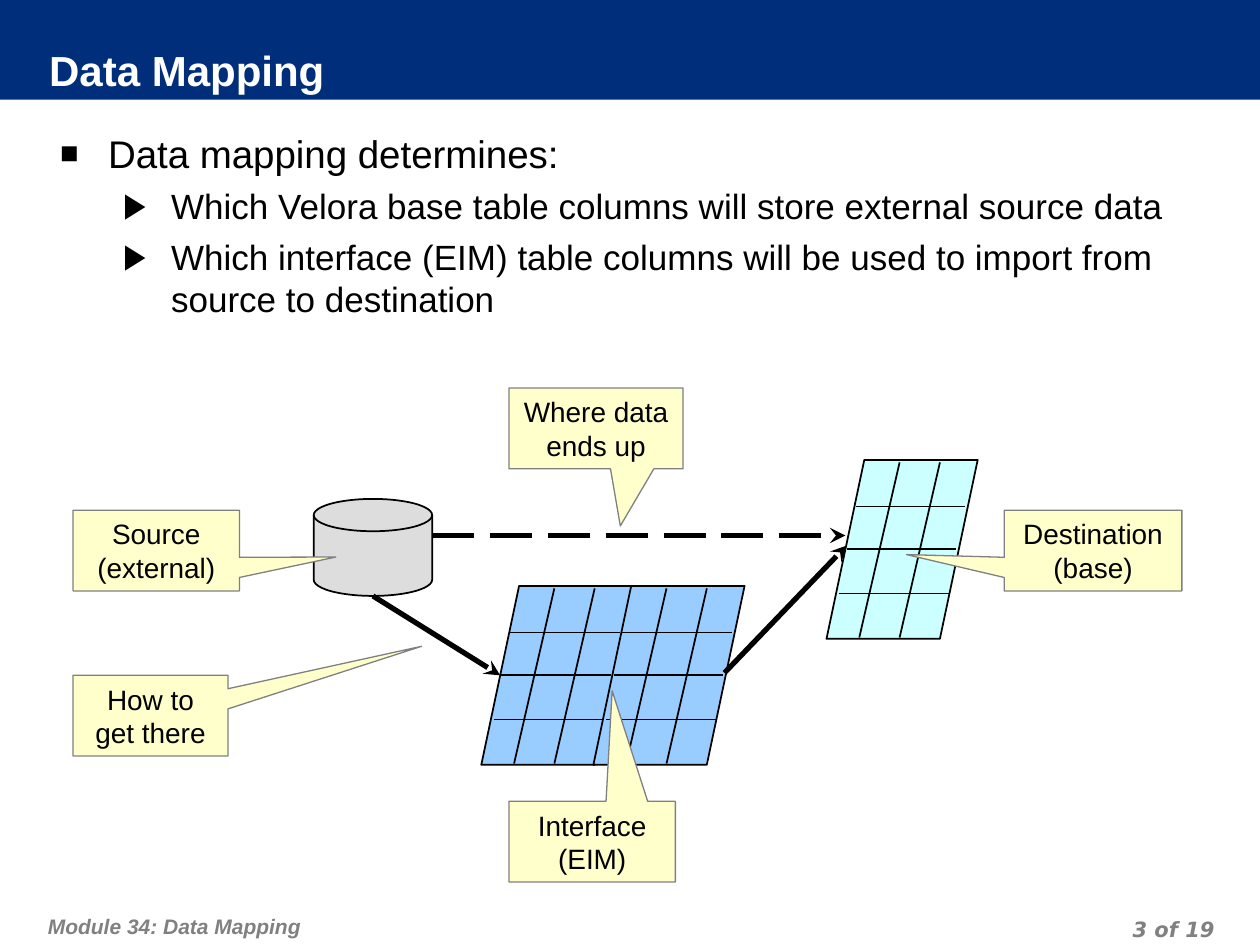
import pptx
import pptx.util
import pptx.dml.color
import pptx.enum.dml
import pptx.enum.shapes
import pptx.enum.text
import pptx.oxml.ns
from lxml import etree

Inches = pptx.util.Inches
Pt = pptx.util.Pt
Shapes = pptx.enum.shapes.MSO_SHAPE
Align = pptx.enum.text.PP_ALIGN
Anchor = pptx.enum.text.MSO_ANCHOR
qn = pptx.oxml.ns.qn


def color(hex_code):
    return pptx.dml.color.RGBColor.from_string(hex_code)


def apply(target, values):
    for name, value in values.items():
        setattr(target, name, value)


class DataMappingSlide:
    NAVY, BLACK, GRAY, NOTE = "002E7A", "000000", "808080", "FFFFCC"

    def __init__(self, slide):
        self.slide = slide

    def shape(self, kind, box, fill, line=None, width=1.0):
        item = self.slide.shapes.add_shape(kind, *map(Inches, box))
        item.shadow.inherit = False
        item.fill.solid()
        item.fill.fore_color.rgb = color(fill)
        if line:
            item.line.color.rgb = color(line)
            item.line.width = Pt(width)
        else:
            item.line.fill.background()
        return item

    def frame(self, item, insets, anchor=Anchor.TOP):
        sides = ("margin_left", "margin_top", "margin_right", "margin_bottom")
        apply(item.text_frame, dict(zip(sides, map(Inches, insets))))
        apply(item.text_frame, {"word_wrap": True, "vertical_anchor": anchor})
        return item.text_frame

    def paragraph(self, frame, text, size, ink=BLACK, face="Arial",
                  font=None, layout=None):
        first = frame.paragraphs[0]
        para = frame.add_paragraph() if first.runs else first
        apply(para, {"alignment": Align.LEFT, **(layout or {})})
        run = para.add_run()
        run.text = text
        apply(run.font, {"size": Pt(size), "name": face, **(font or {})})
        run.font.color.rgb = color(ink)
        return para

    def text_box(self, box, insets):
        return self.frame(self.slide.shapes.add_textbox(*map(Inches, box)), insets)

    def footer(self, box, insets, text, face, align):
        self.paragraph(self.text_box(box, insets), text, 12, self.GRAY, face,
                       {"bold": True, "italic": True},
                       {"alignment": align, "line_spacing": Pt(18),
                        "space_before": Pt(6)})

    def bullet(self, frame, text, size, mark, scale, margin, before, level):
        para = self.paragraph(frame, text, size,
                              layout={"space_before": Pt(before), "level": level})
        props = para._p.get_or_add_pPr()
        props.set("marL", str(Inches(margin)))
        props.set("indent", str(Inches(-0.38)))
        ink = etree.SubElement(props, qn("a:buClr"))
        etree.SubElement(ink, qn("a:srgbClr"), val=self.BLACK)
        etree.SubElement(props, qn("a:buSzPct"), val=str(scale * 1000))
        etree.SubElement(props, qn("a:buFont"), typeface="Arial")
        etree.SubElement(props, qn("a:buChar"), char=mark)

    def line(self, start, end, width=1, arrow=False, dash=None):
        item = self.slide.shapes.add_connector(
            pptx.enum.shapes.MSO_CONNECTOR.STRAIGHT, *map(Inches, (*start, *end)))
        item.line.color.rgb = color(self.BLACK)
        item.line.width = Pt(width)
        if dash:
            item.line.dash_style = dash
        if arrow:
            etree.SubElement(item.line._get_or_add_ln(), qn("a:tailEnd"), type="stealth")
        etree.SubElement(item._element.spPr, qn("a:effectLst"))

    def table_icon(self, left, top, fill):
        self.shape(Shapes.PARALLELOGRAM, (left, top, 1.2, 1.42), fill, self.BLACK)
        for x in (0.58, 0.9):
            self.line((left + x, top + 0.02), (left + x - 0.32, top + 1.41))
        for x, y in ((0.23, 0.37), (0.16, 0.71), (0.1, 1.06)):
            self.line((left + x, top + y), (left + x + 0.87, top + y))

    def callout(self, left, top, width, pointer, *texts):
        item = self.shape(Shapes.RECTANGULAR_CALLOUT, (left, top, width, 0.64),
                          self.NOTE, self.GRAY, 0.75)
        for index, value in enumerate(pointer):
            item.adjustments[index] = value
        frame = self.frame(item, (0.1, 0.05, 0.1, 0.05), Anchor.MIDDLE)
        for text in texts:
            self.paragraph(frame, text, 16, layout={"alignment": Align.CENTER})


def main():
    deck = pptx.Presentation()
    apply(deck, {"slide_width": Inches(10), "slide_height": Inches(7.5)})
    page = DataMappingSlide(deck.slides.add_slide(deck.slide_layouts[6]))

    # Header band and title
    page.shape(Shapes.RECTANGLE, (0, 0, 10, 0.79), page.NAVY)
    title = page.shape(Shapes.RECTANGLE, (0.39, 0.38, 9.17, 0.4), page.NAVY)
    page.paragraph(page.frame(title, (0, 0, 0.05, 0.05), Anchor.MIDDLE),
                   "Data Mapping", 24, "FFFFFF", font={"bold": True})

    # Footer
    page.footer((0.33, 7.1, 6.18, 0.4), (0.05, 0.1, 0.05, 0.05),
                "Module 34: Data Mapping", "Arial", Align.LEFT)
    page.footer((7.36, 7.22, 2.33, 0.25), (0.05, 0, 0.05, 0),
                "3 of 19", "DejaVu Sans", Align.RIGHT)

    # Bullets
    body = page.text_box((0.38, 0.93, 9.3, 6.18), (0.1, 0.1, 0.1, 0.05))
    page.bullet(body, "Data mapping determines:", 22, "■", 80, 0.38, 5.5, 0)
    for point in (
            "Which Velora base table columns will store external source data",
            "Which interface (EIM) table columns will be used to import from "
            "source to destination"):
        page.bullet(body, point, 20, "▶", 100, 0.88, 5, 1)

    # Destination table, interface tables and source database
    for left, top, fill in ((6.56, 3.65, "CCFFFF"), (3.82, 4.65, "99CCFF"),
                            (4.71, 4.65, "99CCFF")):
        page.table_icon(left, top, fill)
    page.shape(Shapes.FLOWCHART_MAGNETIC_DISK, (2.49, 3.96, 0.94, 0.77),
               "DDDDDD", page.BLACK)

    # Data flow arrows
    page.line((3.43, 4.25), (6.71, 4.25), 3, True,
              pptx.enum.dml.MSO_LINE.LONG_DASH)
    page.line((2.96, 4.73), (3.97, 5.36), 3, True)
    page.line((5.75, 5.34), (6.72, 4.33), 3, True)

    # Callouts
    page.callout(0.58, 4.05, 1.32, (1.08, 0.08), "Source", "(external)")
    page.callout(7.97, 4.05, 1.41, (-1.05, 0.05), "Destination", "(base)")
    page.callout(4.04, 6.36, 1.32, (0.12, -1.87), "Interface (EIM)")
    page.callout(4.04, 3.08, 1.38, (0.14, 1.21), "Where data ends up")
    page.callout(0.58, 5.36, 1.23, (1.75, -0.86), "How to get there")

    deck.save("out.pptx")


if __name__ == "__main__":
    main()
